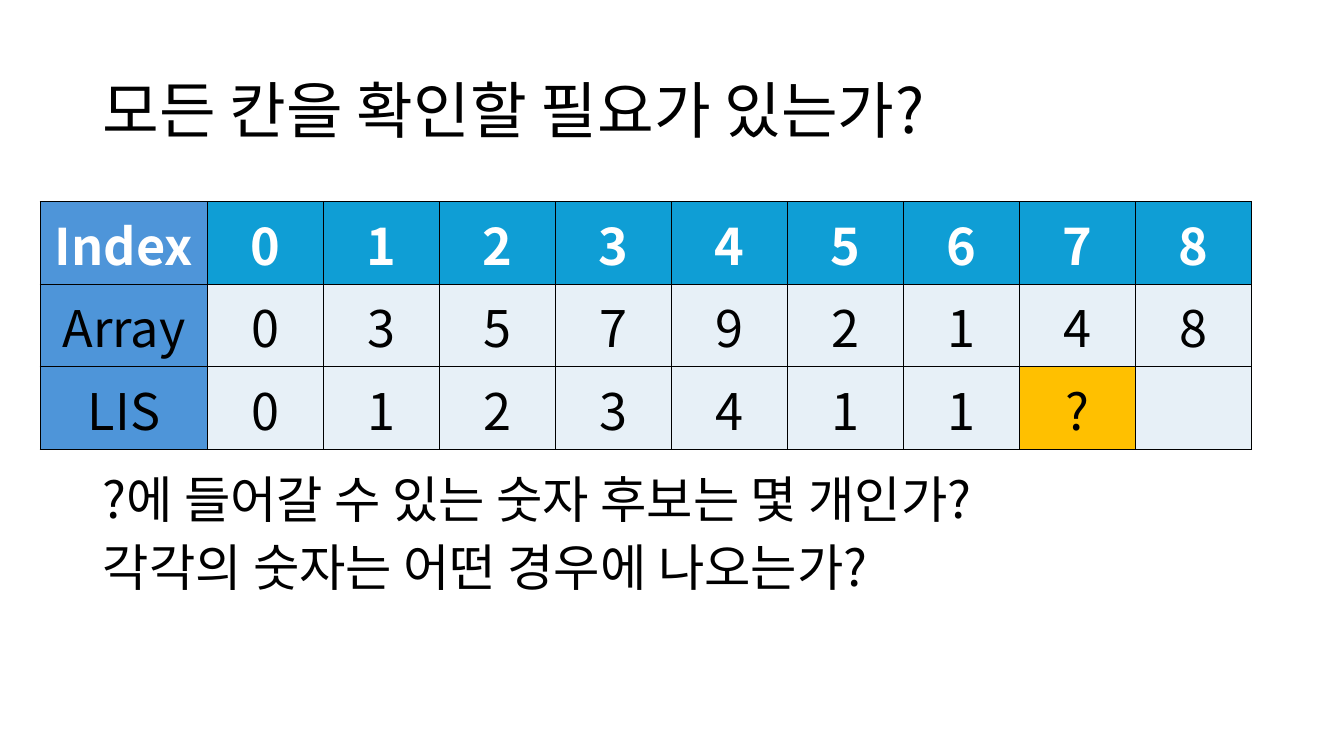
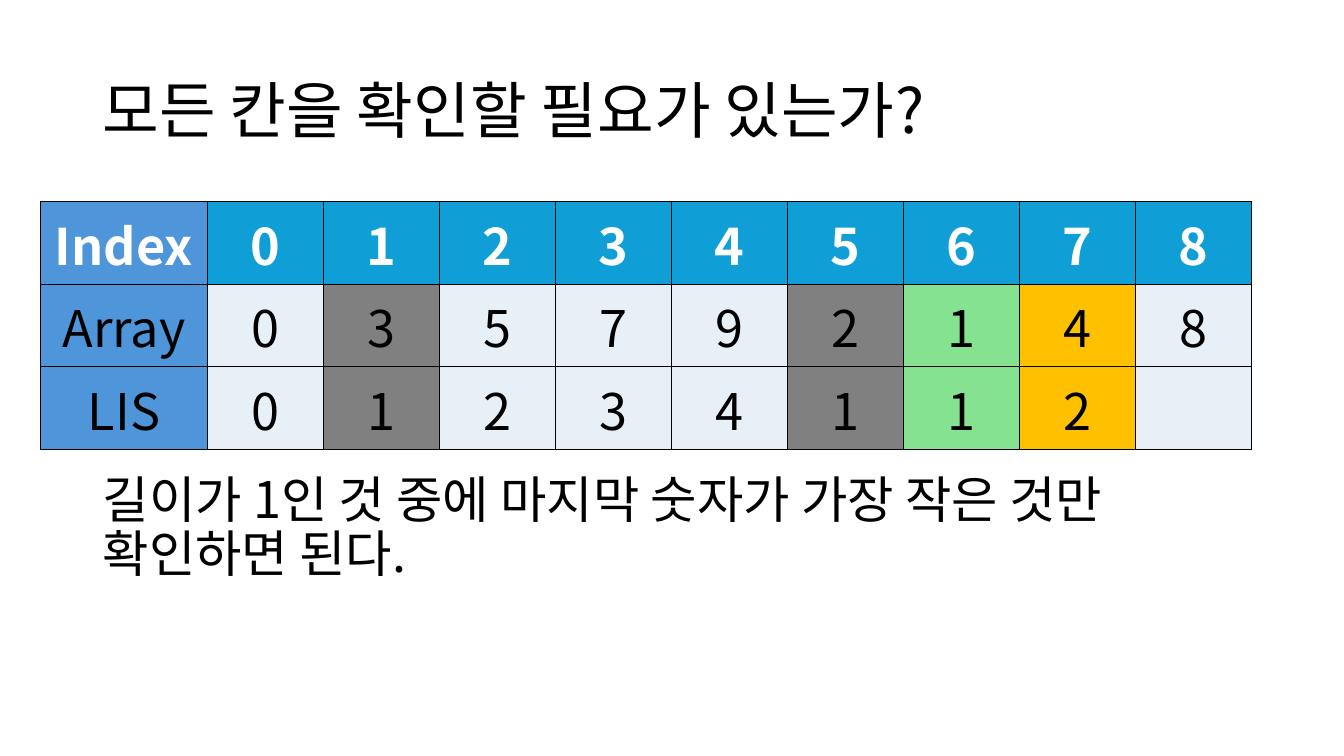
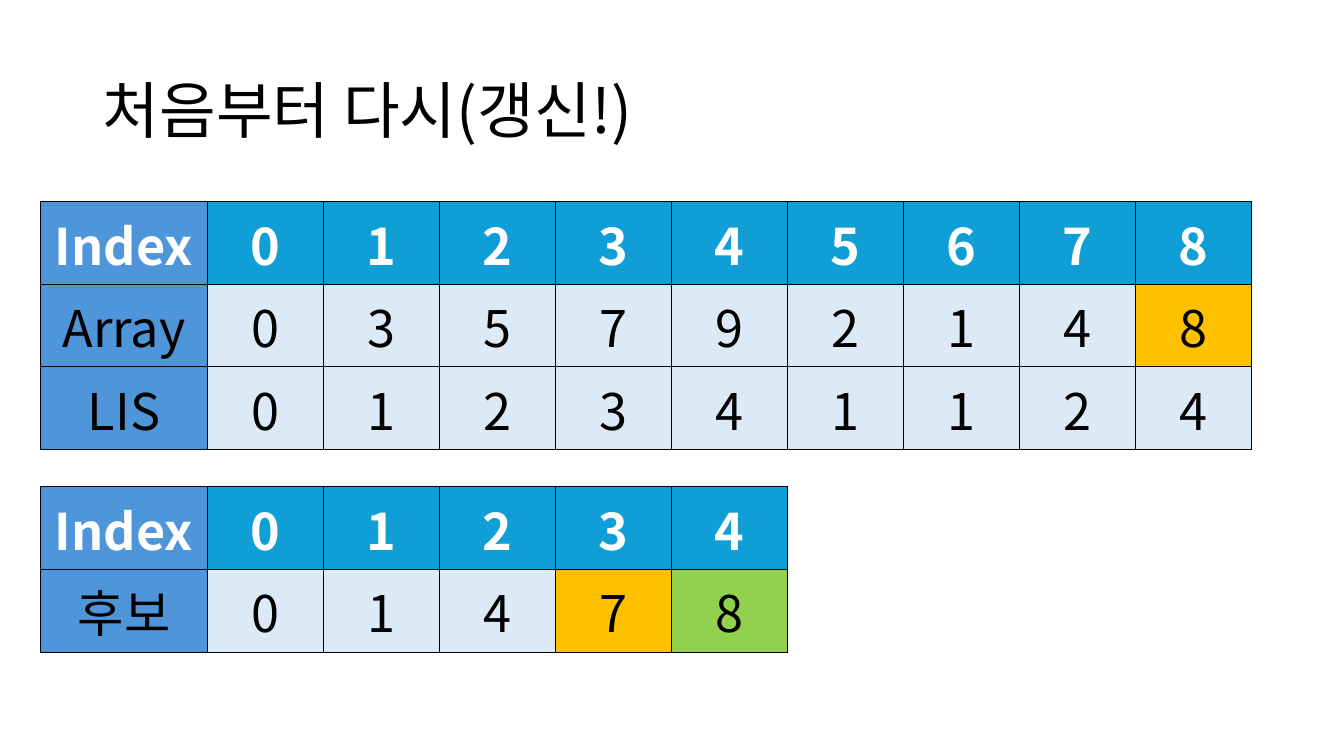
from dataclasses import dataclass

from lxml.etree import SubElement
from pptx import Presentation
from pptx.dml.color import RGBColor as RGB
from pptx.enum.text import MSO_ANCHOR as ANCHOR, PP_ALIGN as ALIGN
from pptx.oxml.ns import qn
from pptx.util import Inches, Pt


@dataclass(frozen=True)
class Theme:
    font: str = "Noto Sans CJK KR"
    title_size: int = 44
    text_size: int = 36
    line_spacing: float = 0.9
    ink: str = "000000"
    white: str = "FFFFFF"
    label: str = "4E95D9"
    header: str = "0F9ED5"
    pale: str = "E7F0F7"
    sky: str = "DCEAF7"
    amber: str = "FFC000"
    gray: str = "808080"
    mint: str = "84E291"
    green: str = "92D050"


T = Theme()
TABLE_LEFT, LABEL_W, CELL_W, ROW_H = 0.4, 1.66, 1.15, 0.82
TOP_TABLE, LOWER_TABLE = 2, 4.83
ARRAY = ["Array", 0, 3, 5, 7, 9, 2, 1, 4, 8]
LIS = ["LIS", 0, 1, 2, 3, 4, 1, 1]


def style(p, size, color=T.ink, bold=False):
    """Format the runs of a paragraph for both Latin and Korean text."""
    for r in p.runs:
        r.font.name = T.font
        r.font.size = Pt(size)
        r.font.bold = bold
        r.font.color.rgb = RGB.from_string(color)
        SubElement(r.font._element, qn("a:ea"), typeface=T.font)


def add_border(cell):
    """Draw a thin line on all four sides; call before filling the cell."""
    tcPr = cell._tc.get_or_add_tcPr()
    for side in ("a:lnL", "a:lnR", "a:lnT", "a:lnB"):
        ln = SubElement(tcPr, qn(side), w=str(Pt(1)))
        fill = SubElement(ln, qn("a:solidFill"))
        SubElement(fill, qn("a:srgbClr"), val=T.ink)


# Each table: top, body fill, rows below the header, {(row, column): highlight}
QUESTION = "모든 칸을 확인할 필요가 있는가?"
SLIDES = [
    (QUESTION,
     [(TOP_TABLE, T.pale, [ARRAY, LIS + ["?", ""]], {(2, 8): T.amber})],
     ["?에 들어갈 수 있는 숫자 후보는 몇 개인가?",
      "각각의 숫자는 어떤 경우에 나오는가?"], (11.5, 2.1)),
    (QUESTION,
     [(TOP_TABLE, T.pale, [ARRAY, LIS + [2, ""]],
       {(row, col): color for row in (1, 2) for col, color in
        ((2, T.gray), (6, T.gray), (7, T.mint), (8, T.amber))})],
     ["길이가 1인 것 중에 마지막 숫자가 가장 작은 것만 확인하면 된다."],
     (12.01, 2.19)),
    ("처음부터 다시(갱신!)",
     [(TOP_TABLE, T.sky, [ARRAY, LIS + [2, 4]], {(1, 9): T.amber}),
      (LOWER_TABLE, T.sky, [["후보", 0, 1, 4, 7, 8]],
       {(1, 4): T.amber, (1, 5): T.green})],
     [], None),
]

prs = Presentation()
prs.slide_width, prs.slide_height = Inches(13.33), Inches(7.5)

for title, tables, notes, notes_size in SLIDES:
    s = prs.slides.add_slide(prs.slide_layouts[6])

    texts = [([title], 0.4, (11.5, 1.45), T.title_size, ANCHOR.MIDDLE)]
    if notes:
        texts.append((notes, 4.66, notes_size, T.text_size, ANCHOR.TOP))
    for lines, top, (width, height), size, anchor in texts:
        tf = s.shapes.add_textbox(Inches(0.92), Inches(top),
                                  Inches(width), Inches(height)).text_frame
        tf.word_wrap = True
        tf.vertical_anchor = anchor
        tf.text = "\n".join(lines)
        for i, p in enumerate(tf.paragraphs):
            p.line_spacing = T.line_spacing
            if i:
                p.space_before = Pt(10)
            style(p, size)

    for top, body_fill, body, marks in tables:
        n_cols = len(body[0])
        rows = [["Index", *range(n_cols - 1)], *body]
        table = s.shapes.add_table(
            len(rows), n_cols, Inches(TABLE_LEFT), Inches(top),
            Inches(LABEL_W + CELL_W * (n_cols - 1)),
            Inches(ROW_H * len(rows))).table
        table.horz_banding = False
        for i, column in enumerate(table.columns):
            column.width = Inches(CELL_W if i else LABEL_W)
        for row, values in enumerate(rows):
            for col, value in enumerate(values):
                cell = table.cell(row, col)
                cell.vertical_anchor = ANCHOR.MIDDLE
                add_border(cell)
                fill = T.label if col == 0 else T.header if row == 0 else body_fill
                cell.fill.solid()
                cell.fill.fore_color.rgb = RGB.from_string(marks.get((row, col), fill))
                cell.text_frame.text = str(value)
                p = cell.text_frame.paragraphs[0]
                p.alignment = ALIGN.CENTER
                style(p, T.text_size, T.ink if row else T.white, bold=row == 0)

prs.save("out.pptx")
